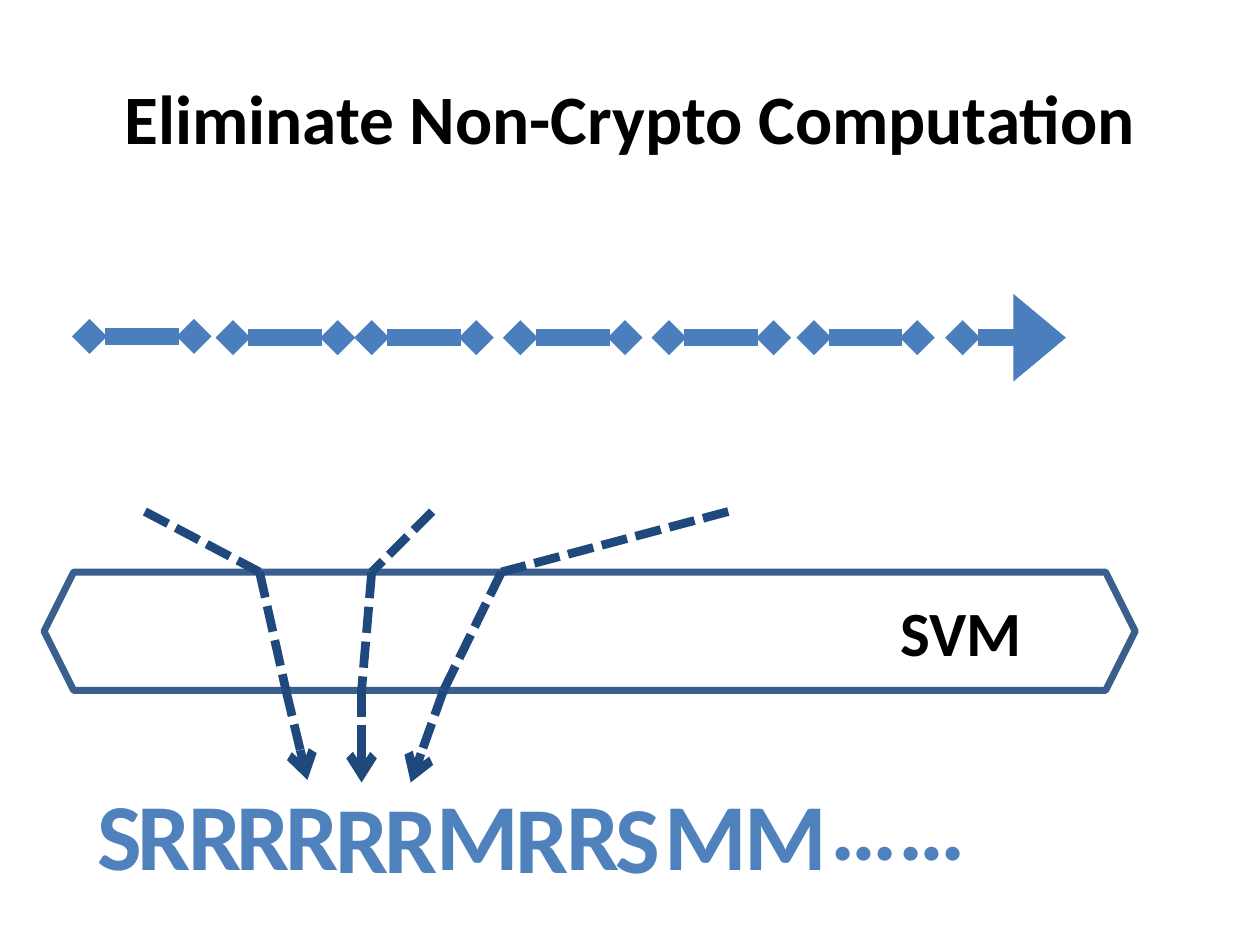
from itertools import pairwise
from pptx import Presentation
from pptx import util as u
from pptx.dml.color import RGBColor
from pptx.enum import dml, shapes, text
from pptx.oxml.ns import qn
from lxml import etree

SPANS = [(0, 0, 0.83), (1.14, 0.01, 0.83), (2.24, 0.01, 0.83), (3.42, 0.01, 0.83),
         (4.6, 0.01, 0.83), (5.75, 0.01, 0.82), (6.93, 0.01, 0.82)]
ROUTES = [[(0.8, -0.48), (1.71, 0), (1.92, 0.94), (2.09, 1.65)],
          [(3.08, -0.48), (2.6, 0), (2.52, 0.94), (2.52, 1.67)],
          [(5.43, -0.48), (3.63, 0), (3.17, 0.94), (2.91, 1.67)]]
WIDTHS = {"S": 0.57, "R": 0.63, "M": 0.87, "……": 1.29}
GLYPHS = [("S", 0, 0.08), ("R", 2.28, 0.1), ("R", 1.89, 0.1), ("R", 1.49, 0.08),
          ("M", 4.5, 0.08), ("M", 5.13, 0.08), ("M", 2.69, 0.08), ("……", 5.81, 0),
          ("R", 0.32, 0.08), ("R", 0.72, 0.08), ("R", 3.32, 0.1), ("R", 3.72, 0.08),
          ("S", 4.11, 0.1), ("R", 1.1, 0.08)]


def color(code):
    """Turn a hex string into a colour."""
    return RGBColor.from_string(code)


def style(para, size, code, align):
    """Format a paragraph and its runs in bold Calibri."""
    para.alignment = align
    for run in para.runs:
        run.font.name, run.font.size, run.font.bold = "Calibri", u.Pt(size), True
        run.font.color.rgb = color(code)


def link(slide, start, end, code, width, dash=None, head=None, tail=None):
    """Draw a line; head and tail are (type, width, length)."""
    ends = [u.Inches(v) for v in (*start, *end)]
    line = slide.shapes.add_connector(shapes.MSO_CONNECTOR.STRAIGHT, *ends)
    line.line.color.rgb, line.line.width = color(code), u.Pt(width)
    if dash:
        line.line.dash_style = dash
    pen = line.line._get_or_add_ln()
    for tag, mark in (("a:headEnd", head), ("a:tailEnd", tail)):
        if mark:
            etree.SubElement(pen, qn(tag), dict(zip(("type", "w", "len"), mark)))
    etree.SubElement(line._element.spPr, qn("a:effectLst"))


def title(slide, left, top, width, height):
    """Place and format the title."""
    box = slide.shapes.title
    box.left, box.top, box.width, box.height = map(u.Inches, (left, top, width, height))
    frame = box.text_frame
    frame.text = "Eliminate Non-Crypto Computation"
    frame.vertical_anchor = text.MSO_ANCHOR.MIDDLE
    frame.auto_size = text.MSO_AUTO_SIZE.NONE
    style(frame.paragraphs[0], 39.6, "000000", text.PP_ALIGN.CENTER)


def timeline(slide, left, top):
    """Draw the row of spans, the last one ending in an arrow."""
    gem, tip = ("diamond", "sm", "sm"), ("triangle", "lg", "med")
    for span in SPANS:
        x, y = left + span[0], top + span[1]
        link(slide, (x, y), (x + span[2], y), "4B7EBC", 10,
             head=gem, tail=tip if span is SPANS[-1] else gem)


def filter_bar(slide, left, top, width, height):
    """Draw the SVM hexagon and the dashed routes through it."""
    box = slide.shapes.add_shape(shapes.MSO_SHAPE.HEXAGON,
                                 *map(u.Inches, (left, top, width, height)))
    box.shadow.inherit = False
    box.fill.background()
    box.line.color.rgb, box.line.width = color("3A5F8C"), u.Pt(4)
    box.text_frame.text = "SVM"
    box.text_frame.vertical_anchor = text.MSO_ANCHOR.MIDDLE
    style(box.text_frame.paragraphs[0], 36, "000000", text.PP_ALIGN.RIGHT)
    for route in ROUTES:
        spots = [(left + x, top + y) for x, y in route]
        for start, end in pairwise(spots):
            tail = ("arrow", "med", "med") if end is spots[-1] else None
            link(slide, start, end, "1F497D", 5, dml.MSO_LINE.SQUARE_DOT, tail=tail)


def letters(slide, left, top):
    """Set the sequence of letters as one group."""
    group = slide.shapes.add_group_shape()
    for glyph, x, y in GLYPHS:
        place = (left + x, top + y, WIDTHS[glyph], 1.01)
        box = group.shapes.add_textbox(*map(u.Inches, place))
        frame = box.text_frame
        frame.text = glyph
        frame.word_wrap = False
        frame.auto_size = text.MSO_AUTO_SIZE.SHAPE_TO_FIT_TEXT
        para = frame.paragraphs[0]
        style(para, 54, "4F81BD", text.PP_ALIGN.CENTER)
        para.runs[0].font._element.set("spc", "50")


def main():
    """Build and save the slide."""
    deck = Presentation()
    deck.slide_width, deck.slide_height = u.Inches(10), u.Inches(7.5)
    slide = deck.slides.add_slide(deck.slide_layouts[5])
    title(slide, 0.5, 0.3, 9, 1.25)
    timeline(slide, 0.71, 2.67)
    filter_bar(slide, 0.35, 4.54, 8.66, 0.94)
    letters(slide, 0.67, 6.03)
    deck.save("out.pptx")


if __name__ == "__main__":
    main()
